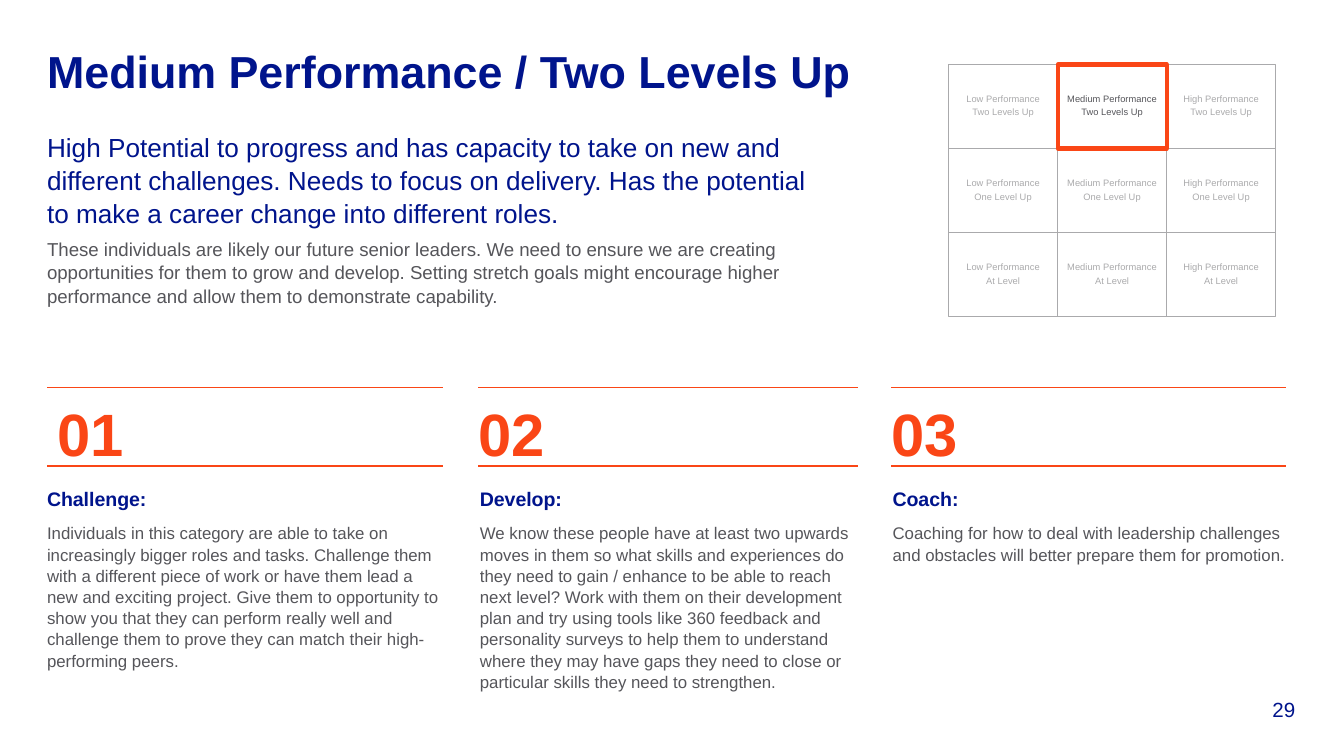
from dataclasses import dataclass
from itertools import product

from lxml import etree
from pptx import Presentation
from pptx.dml.color import RGBColor
from pptx.enum import shapes, text
from pptx.oxml import ns
from pptx.util import Cm, Pt

NAVY = RGBColor(0x00, 0x14, 0x8C)
ORANGE = RGBColor(0xFA, 0x46, 0x16)
DARK_GREY = RGBColor(0x55, 0x55, 0x5A)
LIGHT_GREY = RGBColor(0xAA, 0xAA, 0xAC)

GRID_LEFT, GRID_TOP = 17.93, 1.22
CELL_WIDTH, CELL_HEIGHT = 2.06, 1.59
LABEL_OFFSET = 0.53
PERFORMANCES = ("Low", "Medium", "High")
POTENTIALS = ("Two Levels Up", "One Level Up", "At Level")
CURRENT_CELL = (0, 1)
RULE_TOPS = (7.32, 8.81)


@dataclass(frozen=True)
class Line:
    wording: str
    size: float
    color: RGBColor
    bold: bool = False
    after: float = 0
    align: text.PP_ALIGN = text.PP_ALIGN.LEFT
    spacing: float = 1.05


@dataclass(frozen=True)
class Action:
    number: str
    heading: str
    advice: str
    left: float
    right: float
    number_left: float
    advice_left: float
    advice_width: float


ACTIONS = (
    Action(
        "01", "Challenge:",
        "Individuals in this category are able to take on increasingly bigger roles and "
        "tasks. Challenge them with a different piece of work or have them lead a new and "
        "exciting project. Give them to opportunity to show you that they can perform "
        "really well and challenge them to prove they can match their high-performing peers.",
        0.89, 8.38, 1.09, 0.89, 7.42,
    ),
    Action(
        "02", "Develop:",
        "We know these people have at least two upwards moves in them so what skills and "
        "experiences do they need to gain / enhance to be able to reach next level? Work "
        "with them on their development plan and try using tools like 360 feedback and "
        "personality surveys to help them to understand where they may have gaps they need "
        "to close or particular skills they need to strengthen.",
        9.04, 16.21, 9.04, 9.07, 7.16,
    ),
    Action(
        "03", "Coach:",
        "Coaching for how to deal with leadership challenges and obstacles will better "
        "prepare them for promotion.",
        16.84, 24.31, 16.84, 16.87, 7.42,
    ),
)


def add_text(slide, left: float, top: float, width: float, height: float,
             *lines: Line, anchor=text.MSO_ANCHOR.TOP) -> None:
    frame = slide.shapes.add_textbox(Cm(left), Cm(top), Cm(width), Cm(height)).text_frame
    frame.word_wrap = True
    frame.vertical_anchor = anchor
    frame.margin_left = frame.margin_right = frame.margin_top = frame.margin_bottom = 0
    for index, line in enumerate(lines):
        paragraph = frame.add_paragraph() if index else frame.paragraphs[0]
        paragraph.text = line.wording
        paragraph.alignment = line.align
        paragraph.line_spacing = line.spacing
        paragraph.space_after = Pt(line.after)
        font = paragraph.font
        font.name, font.size, font.bold = "Arial", Pt(line.size), line.bold
        font.color.rgb = line.color


def add_rule(slide, left: float, right: float, top: float) -> None:
    rule = slide.shapes.add_connector(
        shapes.MSO_CONNECTOR.STRAIGHT, Cm(left), Cm(top), Cm(right), Cm(top))
    rule.line.color.rgb = ORANGE
    rule.line.width = Pt(0.75)
    etree.SubElement(rule._element.spPr, ns.qn("a:effectLst"))


def add_cell(slide, row: int, column: int, color: RGBColor, weight: float) -> None:
    cell = slide.shapes.add_shape(
        shapes.MSO_SHAPE.RECTANGLE,
        Cm(GRID_LEFT + column * CELL_WIDTH), Cm(GRID_TOP + row * CELL_HEIGHT),
        Cm(CELL_WIDTH), Cm(CELL_HEIGHT))
    cell.shadow.inherit = False
    cell.fill.background()
    cell.line.color.rgb = color
    cell.line.width = Pt(weight)


def add_grid(slide) -> None:
    """Draw the nine-box grid, with the current cell outlined on top."""
    positions = list(product(range(3), range(3)))
    for row, column in positions:
        if (row, column) != CURRENT_CELL:
            add_cell(slide, row, column, LIGHT_GREY, 0.75)
    for row, column in positions:
        color = DARK_GREY if (row, column) == CURRENT_CELL else LIGHT_GREY
        wordings = (f"{PERFORMANCES[column]} Performance", POTENTIALS[row])
        add_text(slide, GRID_LEFT + column * CELL_WIDTH,
                 GRID_TOP + row * CELL_HEIGHT + LABEL_OFFSET, CELL_WIDTH, 0.46,
                 *(Line(wording, 5, color, after=1, align=text.PP_ALIGN.CENTER)
                   for wording in wordings))
    add_cell(slide, *CURRENT_CELL, ORANGE, 2.25)


def add_action(slide, action: Action) -> None:
    for top in RULE_TOPS:
        add_rule(slide, action.left, action.right, top)
    add_text(slide, action.number_left, 7.44, 4.29, 1.37,
             Line(action.number, 32, ORANGE, bold=True))
    add_text(slide, action.advice_left, 9.19, action.advice_width, 3.5,
             Line(action.heading, 10.5, NAVY, bold=True, after=6),
             Line(action.advice, 9, DARK_GREY, after=6))


def main() -> None:
    deck = Presentation()
    deck.slide_width, deck.slide_height = Cm(25.4), Cm(14.29)
    slide = deck.slides.add_slide(deck.slide_layouts[6])

    add_text(slide, 0.89, 0.74, 15.32, 1.19,
             Line("Medium Performance / Two Levels Up", 24, NAVY, bold=True, spacing=1.0),
             anchor=text.MSO_ANCHOR.MIDDLE)
    add_text(slide, 0.89, 2.46, 14.4, 1.8, Line(
        "High Potential to progress and has capacity to take on new and different "
        "challenges. Needs to focus on delivery. Has the potential to make a career "
        "change into different roles.", 14, NAVY, after=12))
    add_text(slide, 0.89, 4.47, 14.22, 1.27, Line(
        "These individuals are likely our future senior leaders. We need to ensure we are "
        "creating opportunities for them to grow and develop. Setting stretch goals might "
        "encourage higher performance and allow them to demonstrate capability.",
        10, DARK_GREY, after=12))
    add_grid(slide)
    for action in ACTIONS:
        add_action(slide, action)
    add_text(slide, 23.01, 13.16, 1.47, 0.48,
             Line("29", 11, NAVY, align=text.PP_ALIGN.RIGHT, spacing=1.0),
             anchor=text.MSO_ANCHOR.BOTTOM)
    deck.save("out.pptx")


if __name__ == "__main__":
    main()
